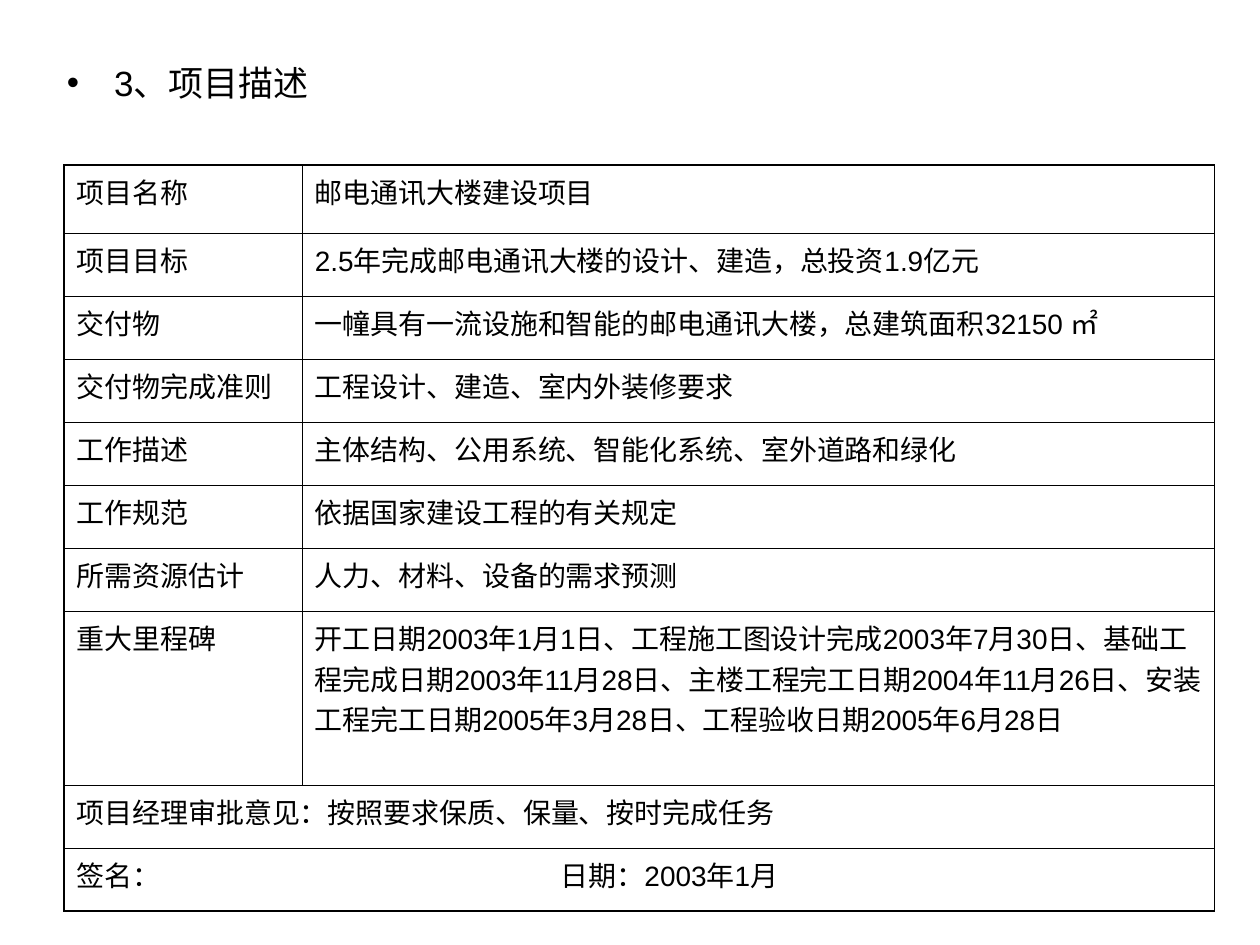
from lxml import etree
from pptx import Presentation
from pptx.dml.color import RGBColor
from pptx.enum.text import MSO_AUTO_SIZE as AutoSize, MSO_ANCHOR as Anchor
from pptx.oxml.ns import qn
from pptx.util import Inches, Pt

HEADING = "3、项目描述"
DETAILS = [
    ("项目名称", "邮电通讯大楼建设项目"),
    ("项目目标", "2.5年完成邮电通讯大楼的设计、建造，总投资1.9亿元"),
    ("交付物", "一幢具有一流设施和智能的邮电通讯大楼，总建筑面积32150 ㎡"),
    ("交付物完成准则", "工程设计、建造、室内外装修要求"),
    ("工作描述", "主体结构、公用系统、智能化系统、室外道路和绿化"),
    ("工作规范", "依据国家建设工程的有关规定"),
    ("所需资源估计", "人力、材料、设备的需求预测"),
    ("重大里程碑", "开工日期2003年1月1日、工程施工图设计完成2003年7月30日、"
     "基础工程完成日期2003年11月28日、主楼工程完工日期2004年11月26日、"
     "安装工程完工日期2005年3月28日、工程验收日期2005年6月28日"),
    ("项目经理审批意见：按照要求保质、保量、按时完成任务",),
    ("签名：\t日期：2003年1月",),
]

THEME = {
    "ink": "000000", "paper": "FFFFFF", "font": "Arial",
    "heading": 20, "cell": 16, "outer": 1.08, "inner": 0.45,
}
SLIDE = (10, 7.5)
HEADING_BOX = (0.43, 0.44, 4.52, 0.55)
TABLE_ORIGIN = (0.51, 1.31)
COLUMNS = (1.89, 7.24)
ROW_HEIGHT = 0.5
TALL_ROWS = {0: 0.54, 7: 1.27}
DATE_TAB = 3.84


def write(para, text, size):
    span = para.add_run()
    span.text = text
    look = {"name": THEME["font"], "size": Pt(size), "bold": False}
    for key, value in look.items():
        setattr(span.font, key, value)
    span.font.color.rgb = RGBColor.from_string(THEME["ink"])


def add_tab(para, position):
    stops = etree.SubElement(para._p.get_or_add_pPr(), qn("a:tabLst"))
    etree.SubElement(stops, qn("a:tab"), pos=str(Inches(position)), algn="l")


def set_borders(cell, outside):
    properties = cell._tc.get_or_add_tcPr()
    for side in "LRTB":
        width = THEME["outer" if side in outside else "inner"]
        line = etree.SubElement(properties, qn(f"a:ln{side}"), w=str(Pt(width)))
        fill = etree.SubElement(line, qn("a:solidFill"))
        etree.SubElement(fill, qn("a:srgbClr"), val=THEME["ink"])


def add_heading(page):
    page.shapes.title.element.getparent().remove(page.shapes.title.element)
    box = page.placeholders[1]
    for key, value in zip(("left", "top", "width", "height"), HEADING_BOX):
        setattr(box, key, Inches(value))
    frame = box.text_frame
    frame.auto_size = AutoSize.NONE
    frame.word_wrap = True
    para = frame.paragraphs[0]
    para.space_before = Pt(0)
    write(para, HEADING, THEME["heading"])


def add_details(page):
    heights = [TALL_ROWS.get(row, ROW_HEIGHT) for row in range(len(DETAILS))]
    area = (*TABLE_ORIGIN, sum(COLUMNS), sum(heights))
    table = page.shapes.add_table(
        len(DETAILS), len(COLUMNS), *map(Inches, area)).table
    table.first_row = table.horz_banding = False
    for column, width in zip(table.columns, COLUMNS):
        column.width = Inches(width)
    for row, height in zip(table.rows, heights):
        row.height = Inches(height)

    last_row, last_column = len(DETAILS) - 1, len(COLUMNS) - 1
    for row, texts in enumerate(DETAILS):
        merged = len(texts) == 1
        if merged:
            table.cell(row, 0).merge(table.cell(row, last_column))
        for column in range(len(COLUMNS)):
            cell = table.cell(row, column)
            edges = {"T": row == 0, "B": row == last_row,
                     "L": column == 0, "R": merged or column == last_column}
            set_borders(cell, [side for side, outer in edges.items() if outer])
            cell.fill.solid()
            cell.fill.fore_color.rgb = RGBColor.from_string(THEME["paper"])
            cell.vertical_anchor = Anchor.TOP
            if column < len(texts):
                para = cell.text_frame.paragraphs[0]
                if "\t" in texts[column]:
                    add_tab(para, DATE_TAB)
                write(para, texts[column], THEME["cell"])


def main():
    deck = Presentation()
    deck.slide_width, deck.slide_height = map(Inches, SLIDE)
    page = deck.slides.add_slide(deck.slide_layouts[1])
    add_heading(page)
    add_details(page)
    deck.save("out.pptx")


if __name__ == "__main__":
    main()
